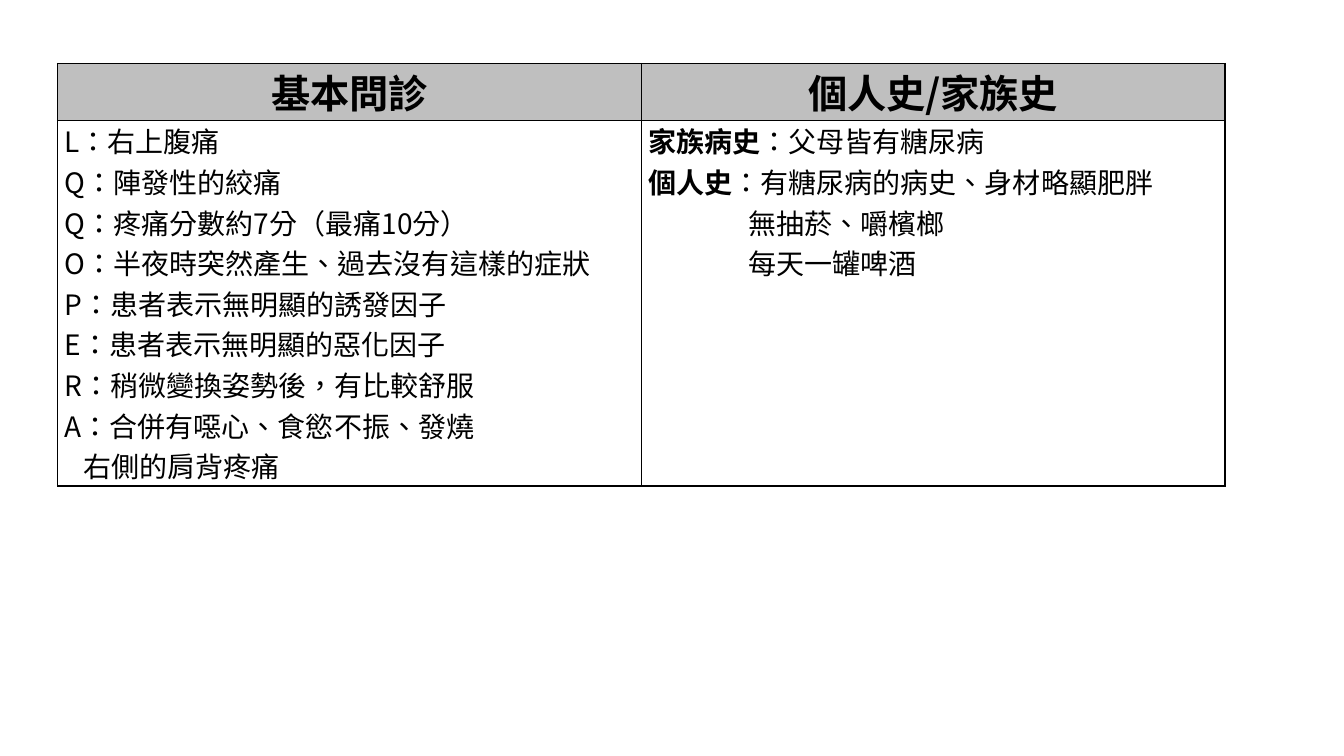
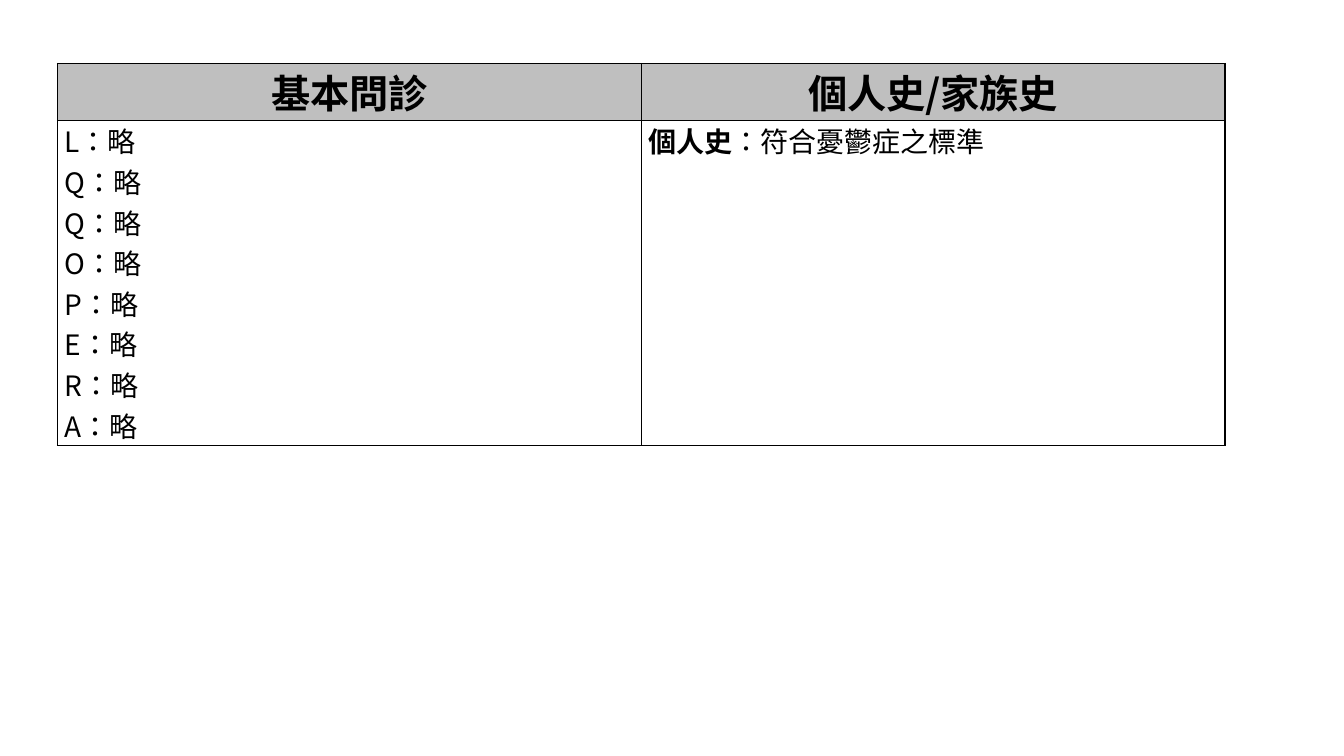
"""Two slides, each with a table of patient interview and history."""
from lxml.etree import SubElement
from pptx import Presentation
from pptx.dml.color import RGBColor
from pptx.enum.text import PP_ALIGN as ALIGN
from pptx.oxml.ns import qn
from pptx.util import Inches, Pt

FONT = "Noto Sans CJK SC"
BLACK, GRAY, WHITE = "000000", "BFBFBF", "FFFFFF"
LEFT, TOP, COL_W = 0.57, 0.63, 5.79
HEAD_H, LINE_H, INSET = 0.5, 0.4, 0.07
HEADERS = ["基本問診", "個人史/家族史"]

# Each line is (bold label, text, indent in inches).
SLIDES = [
    (
        [
            ("", "L：右上腹痛", 0),
            ("", "Q：陣發性的絞痛", 0),
            ("", "Q：疼痛分數約7分（最痛10分）", 0),
            ("", "O：半夜時突然產生、過去沒有這樣的症狀", 0),
            ("", "P：患者表示無明顯的誘發因子", 0),
            ("", "E：患者表示無明顯的惡化因子", 0),
            ("", "R：稍微變換姿勢後，有比較舒服", 0),
            ("", "A：合併有噁心、食慾不振、發燒", 0),
            ("", "右側的肩背疼痛", 0.19),
        ],
        [
            ("家族病史", "：父母皆有糖尿病", 0),
            ("個人史", "：有糖尿病的病史、身材略顯肥胖", 0),
            ("", "無抽菸、嚼檳榔", 0.99),
            ("", "每天一罐啤酒", 0.99),
        ],
    ),
    (
        [("", f"{letter}：略", 0) for letter in "LQQOPERA"],
        [("個人史", "：符合憂鬱症之標準", 0)],
    ),
]


def rgb(color):
    return RGBColor.from_string(color)


def add_text(p, text, size=20, bold=False, color=BLACK):
    r = p.add_run()
    r.text = text
    r.font.size, r.font.bold, r.font.name = Pt(size), bold, FONT
    r.font.color.rgb = rgb(color)
    rPr = r._r.get_or_add_rPr()
    rPr.set("lang", "zh-TW")
    SubElement(rPr, qn("a:ea"), typeface=FONT)


def style_cell(cell, fill):
    cell.margin_left = cell.margin_right = Inches(INSET)
    cell.margin_top = cell.margin_bottom = 0
    tcPr = cell._tc.get_or_add_tcPr()
    for side in ("lnL", "lnR", "lnT", "lnB"):
        ln = SubElement(tcPr, qn(f"a:{side}"), w=str(Pt(1)))
        SubElement(SubElement(ln, qn("a:solidFill")), qn("a:srgbClr"), val=BLACK)
    cell.fill.solid()
    cell.fill.fore_color.rgb = rgb(fill)


def fill_lines(cell, lines):
    tf = cell.text_frame
    for i, (label, text, indent) in enumerate(lines):
        p = tf.add_paragraph() if i else tf.paragraphs[0]
        if indent:
            p._p.get_or_add_pPr().set("marL", str(Inches(indent)))
        if label:
            add_text(p, label, bold=True)
        add_text(p, text)


def add_history_slide(prs, columns):
    s = prs.slides.add_slide(prs.slide_layouts[6])
    body_h = LINE_H * max(len(lines) for lines in columns)
    table = s.shapes.add_table(
        2, len(HEADERS), Inches(LEFT), Inches(TOP),
        Inches(COL_W * len(HEADERS)), Inches(HEAD_H + body_h)).table
    table.rows[0].height, table.rows[1].height = Inches(HEAD_H), Inches(body_h)
    for col, (header, lines) in enumerate(zip(HEADERS, columns)):
        table.columns[col].width = Inches(COL_W)
        head, body = table.cell(0, col), table.cell(1, col)
        style_cell(head, GRAY)
        style_cell(body, WHITE)
        p = head.text_frame.paragraphs[0]
        p.alignment = ALIGN.CENTER
        add_text(p, header, size=28, bold=True)
        fill_lines(body, lines)


prs = Presentation()
prs.slide_width, prs.slide_height = Inches(13.33), Inches(7.5)
for columns in SLIDES:
    add_history_slide(prs, columns)
prs.save("out.pptx")
